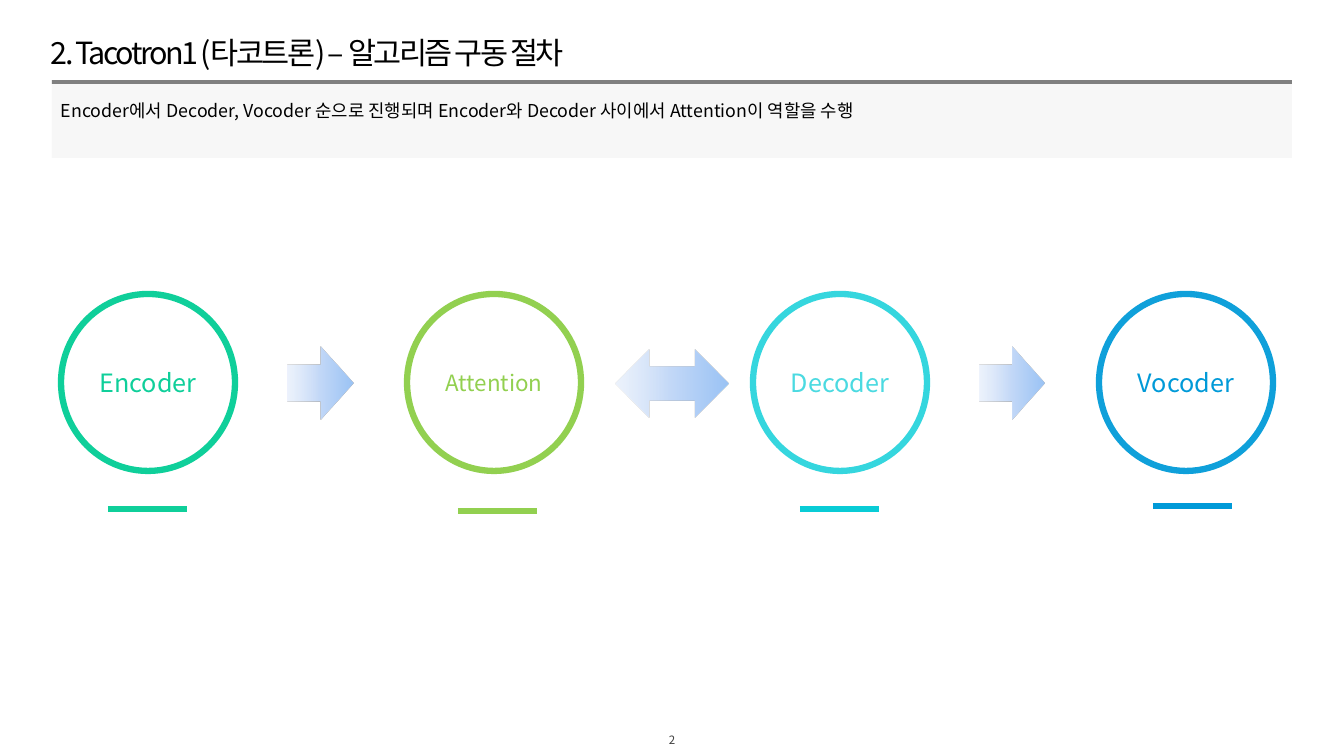
import lxml.etree
import pptx
import pptx.dml.color
import pptx.enum.shapes
import pptx.enum.text
import pptx.oxml.ns
import pptx.util

EMU_PER_PX = 914400 / 100.8
FONT = "Noto Sans CJK KR"
SHAPE = pptx.enum.shapes.MSO_SHAPE
ALIGN = pptx.enum.text.PP_ALIGN
ANCHOR = pptx.enum.text.MSO_ANCHOR
qn = pptx.oxml.ns.qn

COLORS = {
    "panel": "F7F7F7",
    "rule": "808080",
    "text": "000000",
    "page": "404040",
    "white": "FFFFFF",
    "green": "0FCF9A",
    "lime": "92D050",
    "cyan ring": "35D6DE",
    "cyan text": "4BDAE1",
    "cyan bar": "09CCD6",
    "blue ring": "0FA0DA",
    "blue": "009AD8",
}
# position in percent, colour, opacity in percent
ARROW_STOPS = [(0, "9AC3F5", 100), (50, "C2D8F8", 100), (100, "E1EBFB", 59)]

# name, text size, ring, text colour, bar colour, bar left, bar middle
STAGES = [
    ("Encoder", 18, "green", "green", "green", 108, 509),
    ("Attention", 16, "lime", "lime", "lime", 458, 511),
    ("Decoder", 18, "cyan ring", "cyan text", "cyan bar", 800, 509),
    ("Vocoder", 18, "blue ring", "blue", "blue", 1153, 506),
]
STAGE_LEFT, STAGE_STEP = 61, 346
BAR_WIDTH = 79


def px(*lengths):
    return [pptx.util.Emu(round(length * EMU_PER_PX)) for length in lengths]


def rgb(name):
    return pptx.dml.color.RGBColor.from_string(COLORS[name])


def write(shape, text, size, color="text", align=ALIGN.LEFT, anchor=ANCHOR.TOP,
          insets=(0, 0), line_spacing=None, tracking=None):
    """Fill a shape with one paragraph; insets are horizontal and vertical px."""
    frame = shape.text_frame
    frame.word_wrap = True
    frame.vertical_anchor = anchor
    frame.margin_left = frame.margin_right = px(insets[0])[0]
    frame.margin_top = frame.margin_bottom = px(insets[1])[0]
    para = frame.paragraphs[0]
    para.alignment = align
    para.line_spacing = line_spacing
    span = para.add_run()
    span.text = text
    span.font.size = pptx.util.Pt(size)
    span.font.name = FONT
    span.font.color.rgb = rgb(color)
    properties = span.font._element
    lxml.etree.SubElement(properties, qn("a:ea"), typeface=FONT)
    if tracking is not None:
        properties.set("spc", str(round(tracking * 100)))


def add_text(page, bounds, text, size, **style):
    box = page.shapes.add_textbox(*px(*bounds))
    write(box, text, size, **style)


def add_shape(page, kind, bounds, fill=None, ring=None):
    shape = page.shapes.add_shape(kind, *px(*bounds))
    shape.shadow.inherit = False
    if fill:
        shape.fill.solid()
        shape.fill.fore_color.rgb = rgb(fill)
    if ring:
        shape.line.color.rgb = rgb(ring)
        shape.line.width = pptx.util.Pt(4.5)
    else:
        shape.line.fill.background()
    return shape


def add_arrow(page, kind, bounds):
    arrow = add_shape(page, kind, bounds)
    arrow.fill.gradient()
    arrow.fill.gradient_angle = 180
    stops = arrow._element.spPr.find(".//" + qn("a:gsLst"))
    stops.clear()
    for position, color, opacity in ARROW_STOPS:
        stop = lxml.etree.SubElement(stops, qn("a:gs"), pos=str(position * 1000))
        tint = lxml.etree.SubElement(stop, qn("a:srgbClr"), val=color)
        if opacity < 100:
            lxml.etree.SubElement(tint, qn("a:alpha"), val=str(opacity * 1000))


def add_bar(page, left, middle, color):
    bar = page.shapes.add_connector(
        pptx.enum.shapes.MSO_CONNECTOR.STRAIGHT,
        *px(left, middle, left + BAR_WIDTH, middle))
    bar.line.color.rgb = rgb(color)
    bar.line.width = pptx.util.Pt(4.5)
    lxml.etree.SubElement(bar._element.spPr, qn("a:effectLst"))


def add_header(page):
    add_shape(page, SHAPE.RECTANGLE, (52, 80, 1240, 78), fill="panel")
    add_shape(page, SHAPE.RECTANGLE, (52, 80, 1240, 4), fill="rule")
    add_text(page, (51, 38, 1241, 33), "2. Tacotron1 (타코트론) – 알고리즘 구동 절차",
             21.8, line_spacing=0.9, tracking=-1.8)
    add_text(page, (51, 91, 1241, 58),
             "Encoder에서 Decoder, Vocoder 순으로 진행되며 Encoder와 Decoder "
             "사이에서 Attention이 역할을 수행",
             12.7, insets=(10, 5), line_spacing=1.2)


def add_stages(page):
    for index, stage in enumerate(STAGES):
        name, size, ring, text_color, bar_color, bar_left, bar_middle = stage
        left = STAGE_LEFT + index * STAGE_STEP
        circle = add_shape(page, SHAPE.OVAL, (left, 294, 174, 177),
                           fill="white", ring=ring)
        write(circle, name, size, color=text_color, align=ALIGN.CENTER,
              anchor=ANCHOR.MIDDLE)
        add_bar(page, bar_left, bar_middle, bar_color)


def main():
    deck = pptx.Presentation()
    deck.slide_width, deck.slide_height = px(1344, 756)
    page = deck.slides.add_slide(deck.slide_layouts[6])
    add_header(page)
    add_stages(page)
    for left in (288, 288 + 2 * STAGE_STEP):
        add_arrow(page, SHAPE.RIGHT_ARROW, (left, 347, 65, 73))
    add_arrow(page, SHAPE.LEFT_RIGHT_ARROW, (616, 350, 112, 67))
    add_text(page, (521, 728, 302, 23), "2", 8.2, color="page",
             align=ALIGN.CENTER, anchor=ANCHOR.MIDDLE)
    deck.save("out.pptx")


if __name__ == "__main__":
    main()
